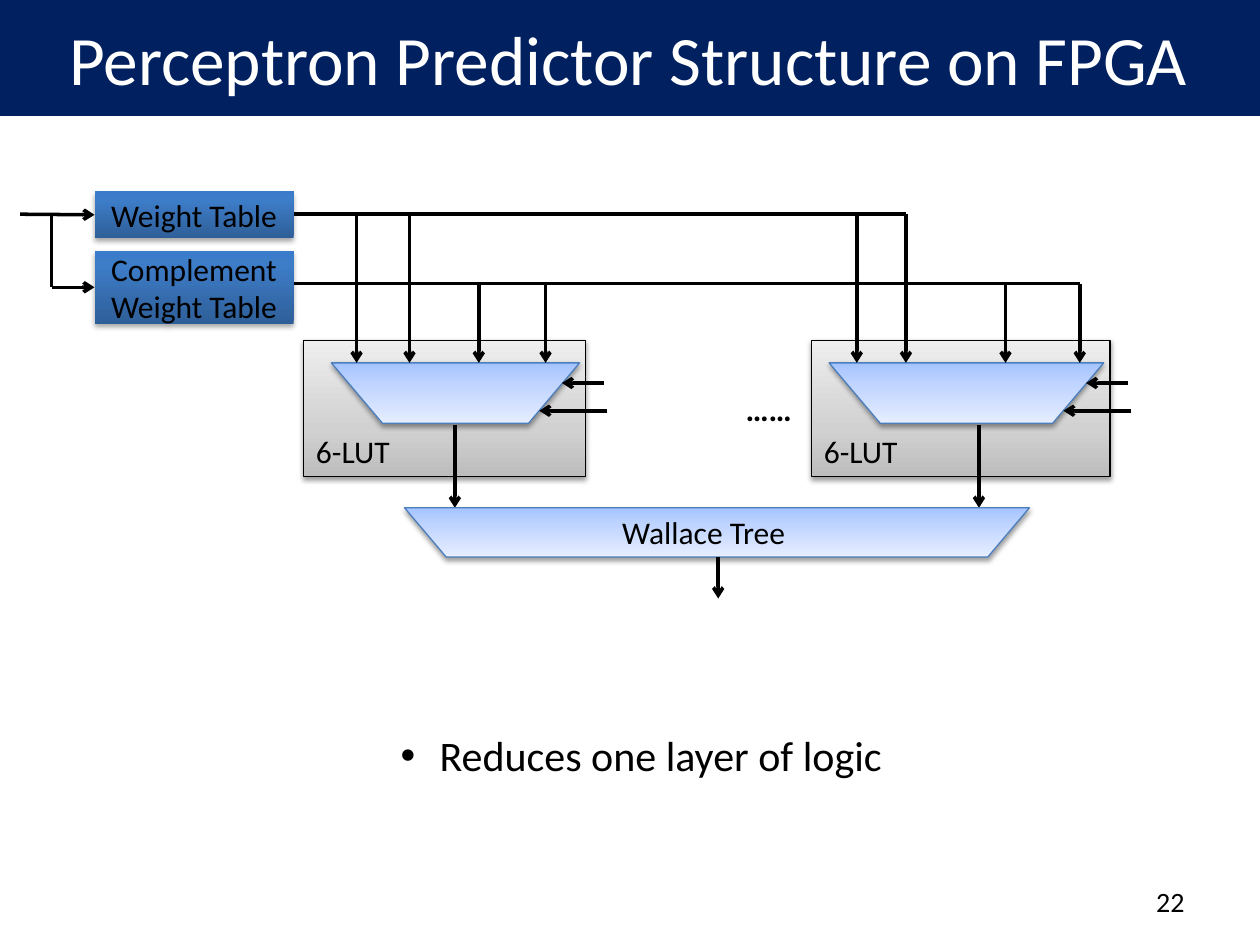
from pptx import Presentation
from pptx.dml.color import RGBColor
from pptx.enum.shapes import MSO_CONNECTOR, MSO_SHAPE
from pptx.enum.text import MSO_ANCHOR, MSO_AUTO_SIZE, PP_ALIGN
from pptx.oxml.ns import qn
from pptx.util import Inches, Pt
from lxml.etree import SubElement

# Content: boxes are left, top, width, height in inches
TITLE = "Perceptron Predictor Structure on FPGA"
POINT = "Reduces one layer of logic"
PAGE = "22"
TABLES = [("Weight Table", 1.52, 0.37), ("Complement Weight Table", 1.99, 0.58)]
BUS = [1.7, 2.25]
REACH = [7.19, 8.57]
UNITS = [
    {"lut": (2.41, 2.24), "mux": (2.63, 1.97), "out": 3.61,
     "taps": [(2.83, 0), (3.25, 0), (3.8, 1), (4.33, 1)]},
    {"lut": (6.44, 2.37), "mux": (6.58, 2.18), "out": 7.77,
     "taps": [(6.8, 0), (7.19, 0), (7.98, 1), (8.57, 1)]},
]
STUBS = [(1.18, 0.85, 3.04), (1.21, 0.67, 3.26)]  # from, to (past out), height
TREE = (3.21, 4.03, 4.96, 0.39)

# Gradient stops and shadow strength
GRAY = [(0, "BDBDBD"), (35, "D1D1D1"), (100, "EEEEEE")]
PALE = [(0, "A4C4FF"), (35, "BFD4FF"), (100, "E6EEFF")]
BLUE = [(0, "2F5F99"), (80, "3D7CC7"), (100, "3A7CCB")]

deck = Presentation()
deck.slide_width, deck.slide_height = Inches(10), Inches(7.5)
slide = deck.slides.add_slide(deck.slide_layouts[1])
shapes = slide.shapes


def color(code):
    return RGBColor.from_string(code)


def place(item, *box):
    item.left, item.top, item.width, item.height = map(Inches, box)


def write(item, text, size, align=PP_ALIGN.LEFT, ink="000000",
          anchor=MSO_ANCHOR.TOP):
    frame = item.text_frame
    frame.word_wrap = True
    frame.auto_size = MSO_AUTO_SIZE.NONE
    frame.vertical_anchor = anchor
    para = frame.paragraphs[0]
    para.alignment = align
    para.space_before = Pt(0)
    run = para.add_run()
    run.text = text
    run.font.size, run.font.name = Pt(size), "Calibri"
    run.font.color.rgb = color(ink)
    return run


def label(box, text, size=18, **look):
    return write(shapes.add_textbox(*map(Inches, box)), text, size, **look)


def block(kind, box, stops, edge=None, dark=38, drop=1.6):
    item = shapes.add_shape(kind, *map(Inches, box))
    item.fill.gradient()
    item.fill.gradient_angle = 90
    props = item._element.spPr
    ramp = props.find(qn("a:gradFill")).find(qn("a:gsLst"))
    for old in list(ramp):
        ramp.remove(old)
    for pos, code in stops:
        stop = SubElement(ramp, qn("a:gs"), pos=str(pos * 1000))
        SubElement(stop, qn("a:srgbClr"), val=code)
    if edge:
        item.line.color.rgb = color(edge)
        item.line.width = Pt(0.75)
    else:
        item.line.fill.background()
    item.shadow.inherit = False
    shade = SubElement(props.find(qn("a:effectLst")), qn("a:outerShdw"),
                       blurRad=str(Pt(3.1)), dist=str(Pt(drop)),
                       dir="5400000", rotWithShape="0")
    tint = SubElement(shade, qn("a:srgbClr"), val="000000")
    SubElement(tint, qn("a:alpha"), val=str(dark * 1000))
    return item


def funnel(box):
    item = block(MSO_SHAPE.TRAPEZOID, box, PALE, "4B7EBC")
    item.rotation = 180
    item.adjustments[0] = 0.846


def wire(x1, y1, x2, y2, arrow=True):
    item = shapes.add_connector(MSO_CONNECTOR.STRAIGHT,
                                *map(Inches, (x1, y1, x2, y2)))
    item.line.color.rgb = color("000000")
    item.line.width = Pt(2)
    props = item._element.spPr
    if arrow:
        SubElement(props.find(qn("a:ln")), qn("a:tailEnd"), type="arrow")
    SubElement(props, qn("a:effectLst"))
    return item


# Title band and page number
title = shapes.title
place(title, -0.02, 0, 10.02, 0.92)
title.fill.solid()
title.fill.fore_color.rgb = color("002060")
write(title, TITLE, 39.6, PP_ALIGN.CENTER, "FFFFFF", MSO_ANCHOR.MIDDLE)
label((7.17, 6.95, 2.33, 0.4), PAGE, 16, align=PP_ALIGN.RIGHT,
      anchor=MSO_ANCHOR.MIDDLE)

# Lookup units with their multiplexers
for unit in UNITS:
    left, wide = unit["lut"]
    block(MSO_SHAPE.RECTANGLE, (left, 2.7, wide, 1.08), GRAY, "000000")
    left, wide = unit["mux"]
    funnel((left, 2.88, wide, 0.48))
    label((unit["lut"][0], 3.38, 0.83, 0.4), "6-LUT")
    out = unit["out"]
    for start, end, y in STUBS:
        wire(out + start, y, out + end, y)
    for x, row in unit["taps"]:
        wire(x, BUS[row], x, 2.88)
    wire(out, 3.37, out, TREE[1])

# Weight tables with the buses they drive
tables = []
for (name, top, high), y, end in zip(TABLES, BUS, REACH):
    table = block(MSO_SHAPE.RECTANGLE, (0.75, top, 1.58, high), BLUE,
                  dark=35, drop=1.8)
    write(table, name, 18, PP_ALIGN.CENTER, anchor=MSO_ANCHOR.MIDDLE)
    wire(2.33, y, end, y, arrow=False)
    tables.append(table)

# Input that branches to both tables
wire(0.16, 1.7, 0.75, 1.7).end_connect(tables[0], 1)
wire(0.41, 2.28, 0.41, 1.69, arrow=False)
wire(0.41, 2.28, 0.75, 2.28).end_connect(tables[1], 1)

# Ellipsis between the units
dots = label((5.55, 2.74, 1.1, 0.46), "……", 32, align=PP_ALIGN.CENTER)
dots.font.bold = True
dots._r.get_or_add_rPr().set("baseline", "-25000")

# Adder tree and its output
funnel(TREE)
label((4.84, 4.02, 1.73, 0.4), "Wallace Tree")
wire(5.7, 4.42, 5.7, 4.75)

# Bullet point
body = slide.placeholders[1]
place(body, 3.08, 5.74, 5.02, 0.5)
props = body.text_frame.paragraphs[0]._p.get_or_add_pPr()
props.set("marL", str(Inches(0.31)))
props.set("indent", str(-Inches(0.31)))
SubElement(props, qn("a:buFont"), typeface="Arial")
SubElement(props, qn("a:buChar"), char="•")
write(body, POINT, 24)

deck.save("out.pptx")
